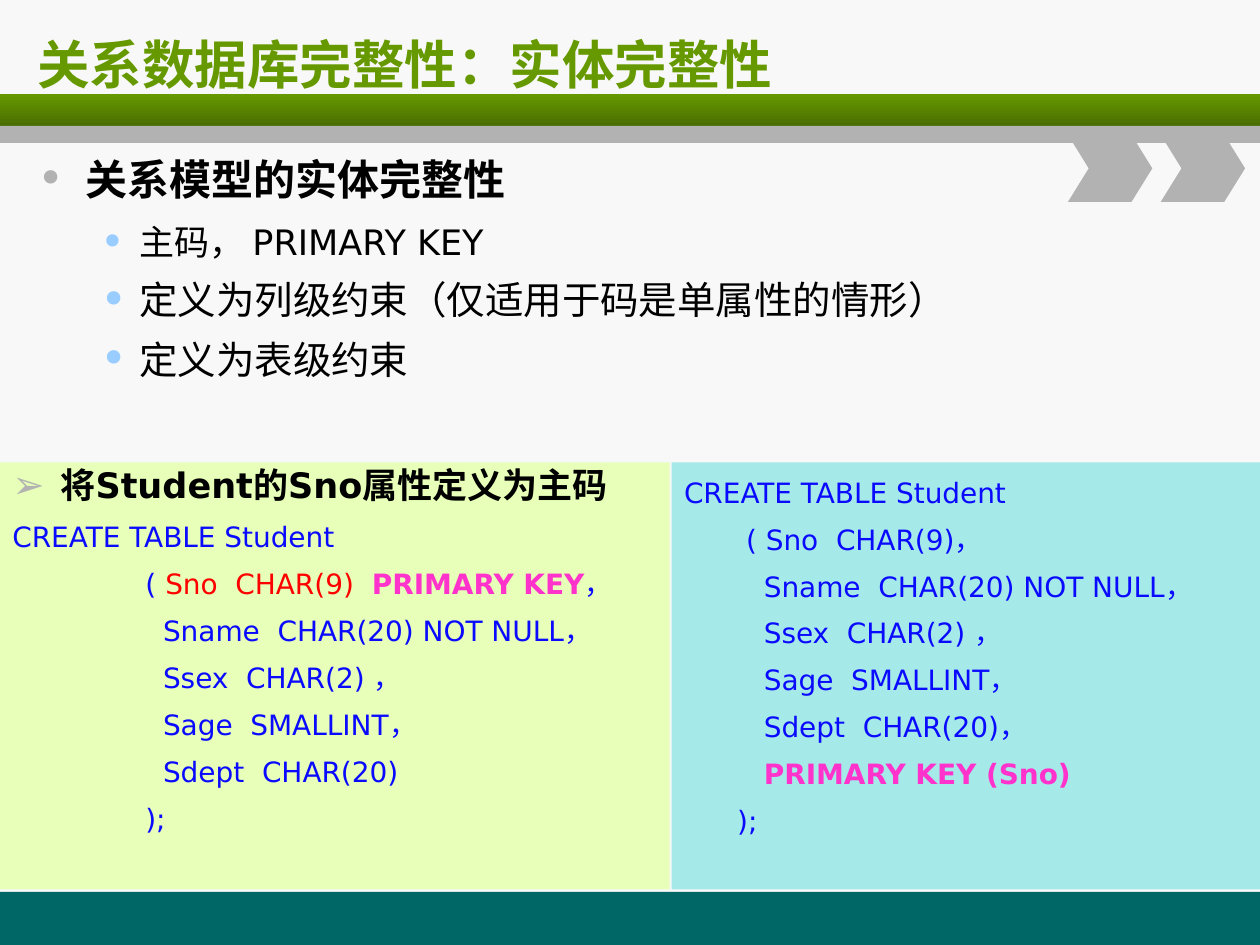
from lxml import etree
from pptx import Presentation, util as u
from pptx.dml.color import RGBColor
from pptx.enum import shapes, text
from pptx.oxml.ns import qn

FONT = "DejaVu Sans"
GREEN, GREY, SKY, BLACK = "669900", "B2B2B2", "99CCFF", "000000"
BLUE, RED, PINK = "0A0AFF", "FF0000", "FF33CC"
WIDTH, HEIGHT = 25.4, 19.05
PANEL_TOP, PANEL_HEIGHT = 9.32, 8.61


def color(value):
    return RGBColor.from_string(value)


class SlideBuilder:
    def __init__(self, slide):
        self.slide = slide
        slide.background.fill.solid()
        slide.background.fill.fore_color.rgb = color("F8F8F8")

    def shape(self, kind, left, top, width, height, fill, fill_end=None):
        """Add a borderless shape, shaded from top to bottom if fill_end is given."""
        shape = self.slide.shapes.add_shape(
            kind, u.Cm(left), u.Cm(top), u.Cm(width), u.Cm(height))
        shape.shadow.inherit = False
        shape.line.fill.background()
        if fill_end:
            shape.fill.gradient()
            shape.fill.gradient_angle = 270
            for stop, value in zip(shape.fill.gradient_stops, (fill, fill_end)):
                stop.color.rgb = color(value)
        else:
            shape.fill.solid()
            shape.fill.fore_color.rgb = color(fill)
        return shape

    def rect(self, *args):
        return self.shape(shapes.MSO_SHAPE.RECTANGLE, *args)

    def chevron(self, left):
        chevron = self.shape(shapes.MSO_SHAPE.CHEVRON, left, 2.72, 1.7, 1.35, GREY)
        chevron.adjustments[0] = 0.31

    def title(self, words):
        box = self.slide.shapes.title
        box.left, box.top, box.width, box.height = map(u.Cm, (0.5, 0.43, 24.26, 1.7))
        frame = self.frame(box, text.MSO_ANCHOR.MIDDLE)
        self.para(frame, [(words, GREEN, True)], 30)

    def text_box(self, left, top, width, height):
        box = self.slide.shapes.add_textbox(
            u.Cm(left), u.Cm(top), u.Cm(width), u.Cm(height))
        return self.frame(box)

    def frame(self, box, anchor=text.MSO_ANCHOR.TOP):
        frame = box.text_frame
        frame.word_wrap = True
        frame.auto_size = text.MSO_AUTO_SIZE.NONE
        frame.vertical_anchor = anchor
        return frame

    def para(self, frame, spans, size, spacing=1.0, before=0, margin=0, hanging=0,
             bullet=None):
        """Add a paragraph of (words, colour, bold) spans; bullet is (sign, colour, percent)."""
        first = not frame.paragraphs[0].runs
        para = frame.paragraphs[0] if first else frame.add_paragraph()
        props = para._p.get_or_add_pPr()
        props.set("marL", str(u.Cm(margin)))
        props.set("indent", str(-u.Cm(hanging)))
        if bullet:
            self.bullet(props, *bullet)
        para.alignment = text.PP_ALIGN.LEFT
        para.line_spacing = spacing
        para.space_before = u.Pt(0 if first else before)
        for words, value, bold in spans:
            span = para.add_run()
            span.text = words
            span.font.name = FONT
            span.font.size = u.Pt(size)
            span.font.bold = bold
            span.font.color.rgb = color(value)

    def bullet(self, props, sign, value, percent):
        tint = etree.SubElement(props, qn("a:buClr"))
        etree.SubElement(tint, qn("a:srgbClr"), val=value)
        etree.SubElement(props, qn("a:buSzPct"), val=str(percent * 1000))
        etree.SubElement(props, qn("a:buFont"), typeface=FONT)
        etree.SubElement(props, qn("a:buChar"), char=sign)

    def code(self, frame, lines):
        for line in lines:
            spans = [(line, BLUE, False)] if isinstance(line, str) else line
            self.para(frame, spans, 16, 1.2, 3.8, 0.97, 0.97)

    def panel(self, left, width, fill):
        return self.frame(self.rect(left, PANEL_TOP, width, PANEL_HEIGHT, fill))


def main():
    deck = Presentation()
    deck.slide_width, deck.slide_height = u.Cm(WIDTH), u.Cm(HEIGHT)
    page = SlideBuilder(deck.slides.add_slide(deck.slide_layouts[5]))

    page.rect(0, 17.98, WIDTH, 1.07, "006666")
    page.rect(0, 1.9, WIDTH, 0.64, GREEN, "496D00")
    page.rect(0, 2.54, WIDTH, 0.34, GREY)
    for left in (21.53, 23.4):
        page.chevron(left)
    page.title("关系数据库完整性：实体完整性")

    body = page.text_box(0.5, 2.92, 22.4, 6.4)
    page.para(body, [("关系模型的实体完整性", BLACK, True)], 24, u.Pt(30), 0,
              0.97, 0.97, ("•", GREY, 110))
    for words, size in (("主码， PRIMARY KEY", 20),
                        ("定义为列级约束（仅适用于码是单属性的情形）", 22),
                        ("定义为表级约束", 22)):
        page.para(body, [(words, BLACK, False)], size, u.Pt(30), 4,
                  2.06, 0.79, ("•", SKY, 120))

    column_key = page.panel(0, 13.5, "E7FFB8")
    page.para(column_key, [("将Student的Sno属性定义为主码", BLACK, True)], 20, 0.9, 0,
              0.97, 0.97, ("➢", GREY, 110))
    page.code(column_key, [
        "CREATE TABLE Student",
        [("               ( ", BLUE, False), ("Sno  CHAR(9)  ", RED, False),
         ("PRIMARY KEY", PINK, True), ("，", BLUE, False)],
        "                 Sname  CHAR(20) NOT NULL，",
        "                 Ssex  CHAR(2) ，",
        "                 Sage  SMALLINT，",
        "                 Sdept  CHAR(20)",
        "               );",
    ])

    table_key = page.panel(13.54, 11.86, "A5E9E9")
    page.code(table_key, [
        "CREATE TABLE Student",
        "       ( Sno  CHAR(9)，",
        "         Sname  CHAR(20) NOT NULL，",
        "         Ssex  CHAR(2) ，",
        "         Sage  SMALLINT，",
        "         Sdept  CHAR(20)，",
        [("         ", RED, False), ("PRIMARY KEY (Sno)", PINK, True)],
        "      );",
    ])
    deck.save("out.pptx")


if __name__ == "__main__":
    main()
